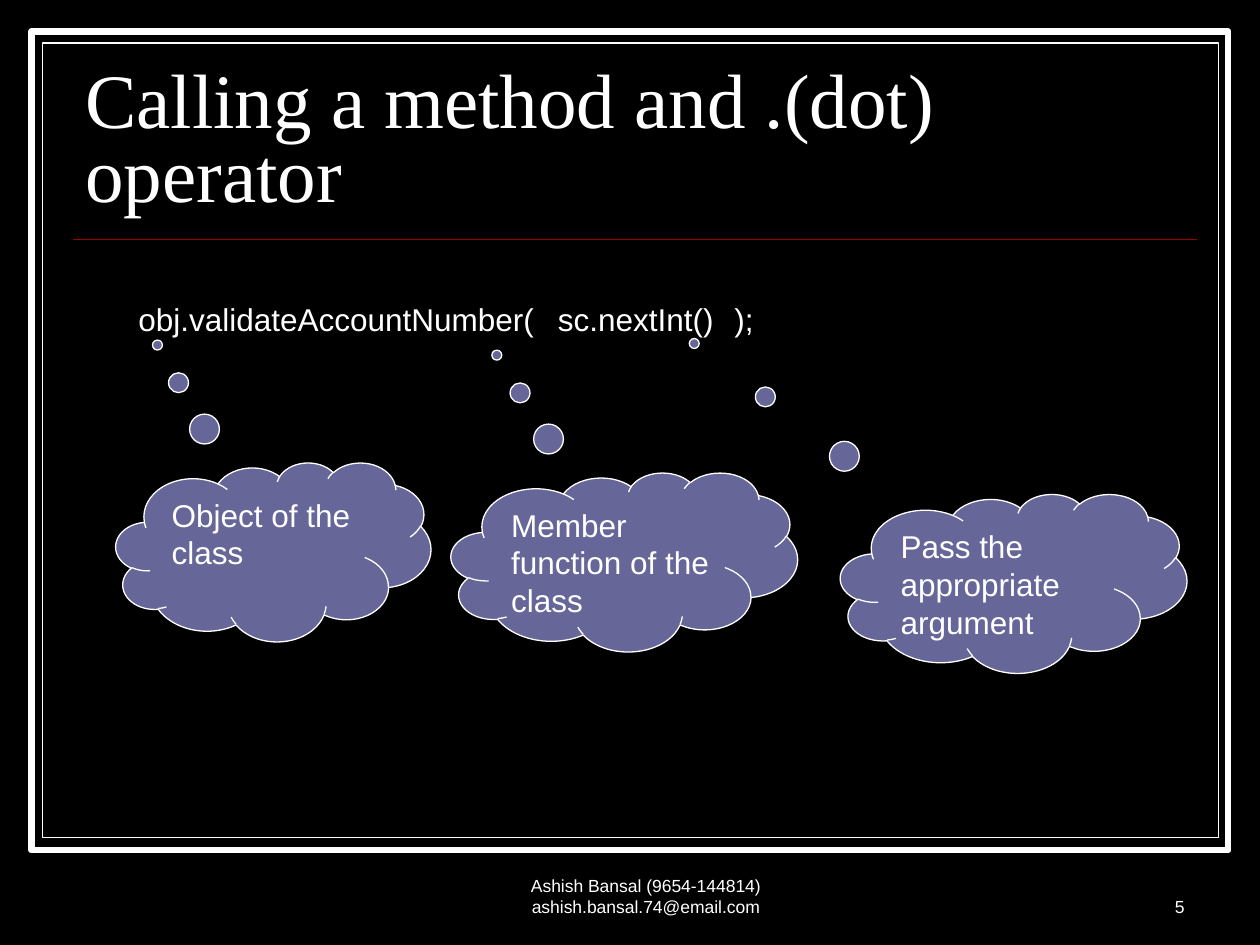
from lxml import etree
from pptx import Presentation
from pptx.dml.color import RGBColor
from pptx.enum.shapes import MSO_CONNECTOR, MSO_SHAPE
from pptx.enum.text import MSO_ANCHOR as Anchor, PP_ALIGN as Align
from pptx.oxml.ns import qn
from pptx.util import Inches, Pt

BLACK, WHITE, RED, VIOLET = "000000", "FFFFFF", "990000", "666699"

# Content: boxes are left, top, width, height in inches
TITLE = "Calling a method and .(dot) operator"
FOOTER = "Ashish Bansal (9654-144814) ashish.bansal.74@email.com"
PAGE_NUMBER = "5"
FRAMES = [((0.25, 0.25, 9.5, 6.5), 3.5), ((0.34, 0.34, 9.33, 6.31), 0.75)]
CODE_TOP, CODE_HEIGHT = 2.33, 0.4
CODE_PARTS = [  # text, left, width
    ("obj.validateAccountNumber(", 1, 3.4),
    ("sc.nextInt()", 4.33, 1.45),
    (");", 5.73, 0.4),
]
CLOUD_HEIGHT = 1.42
CLOUDS = [  # text, left, top, width, tail position
    ("Object of the class", 0.92, 3.67, 2.5, (-0.368, -1.156)),
    ("Member function of the class", 3.58, 3.75, 2.75, (-0.368, -1.156)),
    ("Pass the appropriate argument", 6.67, 3.92, 2.75, (-0.922, -1.341)),
]


def color(hex_string):
    return RGBColor.from_string(hex_string)


def write(shape, text, size=18, font="Arial", align=Align.LEFT,
          anchor=Anchor.TOP, wrap=True, spacing=None):
    frame = shape.text_frame
    frame.word_wrap = wrap
    frame.vertical_anchor = anchor
    paragraph = frame.paragraphs[0]
    paragraph.alignment = align
    if spacing:
        paragraph.line_spacing = spacing
    run = paragraph.add_run()
    run.text = text
    run.font.size = Pt(size)
    run.font.name = font
    run.font.color.rgb = color(WHITE)


def add_text(slide, box, text, **text_format):
    write(slide.shapes.add_textbox(*map(Inches, box)), text, **text_format)


def add_outlined(slide, preset, box, fill, line_width):
    shape = slide.shapes.add_shape(preset, *map(Inches, box))
    shape.shadow.inherit = False
    shape.fill.solid()
    shape.fill.fore_color.rgb = color(fill)
    shape.line.color.rgb = color(WHITE)
    shape.line.width = Pt(line_width)
    return shape


presentation = Presentation()
presentation.slide_width, presentation.slide_height = Inches(10), Inches(7.5)
slide = presentation.slides.add_slide(presentation.slide_layouts[6])
slide.background.fill.solid()
slide.background.fill.fore_color.rgb = color(BLACK)

# Double frame and the rule under the title
for box, line_width in FRAMES:
    add_outlined(slide, MSO_SHAPE.RECTANGLE, box, BLACK, line_width)
rule = slide.shapes.add_connector(
    MSO_CONNECTOR.STRAIGHT, *map(Inches, (0.58, 1.9, 9.5, 1.9)))
rule.line.color.rgb = color(RED)
rule.line.width = Pt(1)
etree.SubElement(rule._element.spPr, qn("a:effectLst"))

# Title and footer
add_text(slide, (0.58, 0.52, 8.92, 1.25), TITLE, size=44,
         font="Times New Roman", anchor=Anchor.BOTTOM, spacing=0.8)
add_text(slide, (3.54, 6.83, 3.17, 0.5), FOOTER, size=10,
         align=Align.CENTER, anchor=Anchor.BOTTOM)
add_text(slide, (7.42, 6.83, 2.08, 0.5), PAGE_NUMBER, size=10,
         align=Align.RIGHT, anchor=Anchor.BOTTOM)

# Line of code
for text, left, width in CODE_PARTS:
    add_text(slide, (left, CODE_TOP, width, CODE_HEIGHT), text, wrap=False)

# Explaining clouds
for text, left, top, width, tail in CLOUDS:
    cloud = add_outlined(slide, MSO_SHAPE.CLOUD_CALLOUT,
                         (left, top, width, CLOUD_HEIGHT), VIOLET, 0.75)
    cloud.adjustments[0], cloud.adjustments[1] = tail
    write(cloud, text)

presentation.save("out.pptx")
